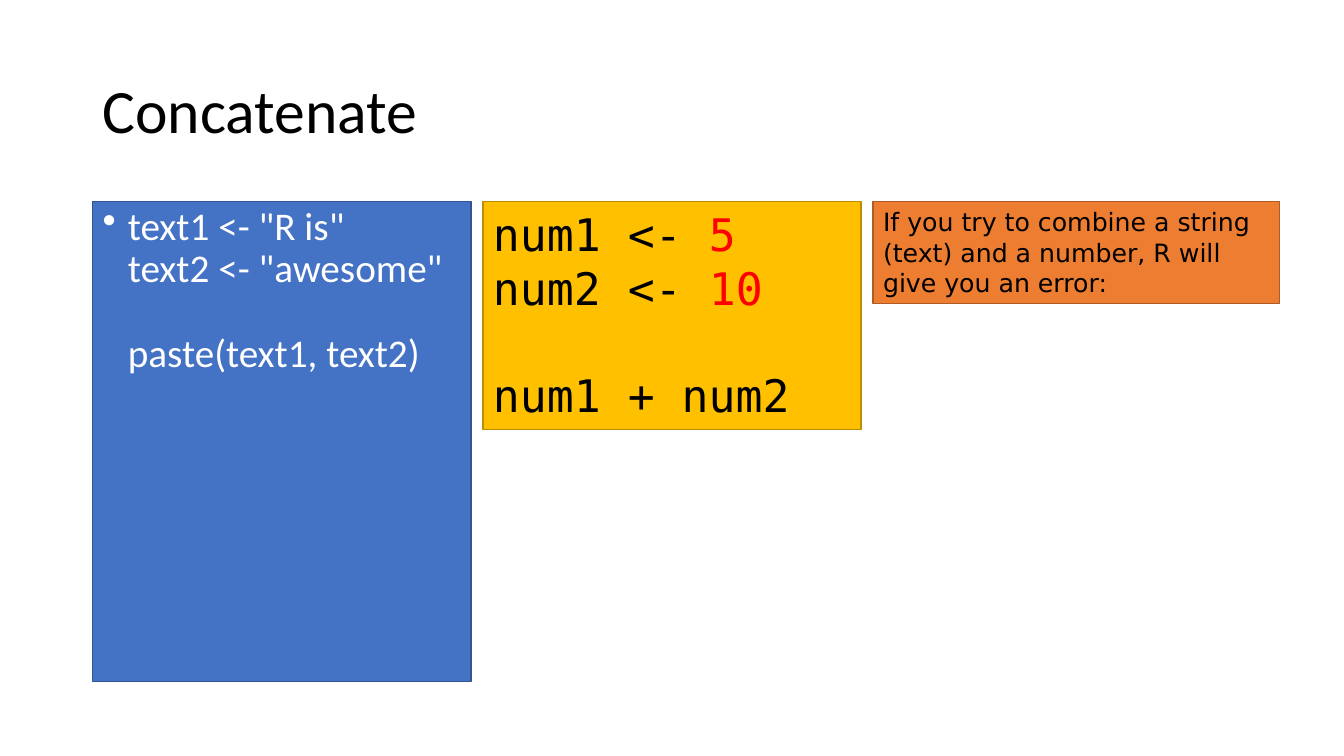
from lxml import etree
from pptx import Presentation
from pptx.dml.color import RGBColor
from pptx.enum.shapes import MSO_SHAPE
from pptx.enum.text import MSO_ANCHOR, MSO_AUTO_SIZE, PP_ALIGN
from pptx.oxml.ns import qn
from pptx.util import Inches, Pt

BLACK, WHITE, RED = "000000", "FFFFFF", "FF0000"
TITLE = "Concatenate"

# Each panel holds lines, and each line holds (text, colour) pieces.
PANELS = [
    dict(width=3.75, height=4.76, fill="4472C4", border="325491",
         font="Calibri", size=28, bullet=True,
         lines=[[("text1 <-\u00a0\"R is\"", WHITE)],
                [("text2 <-\u00a0\"awesome\"", WHITE)],
                [],
                [("paste(text1,\u00a0text2)", WHITE)]]),
    dict(width=3.75, height=2.26, fill="FFC000", border="BD8E00",
         font="DejaVu Sans Mono", size=32, bullet=False,
         lines=[[("num1 <-\u00a0", BLACK), ("5", RED)],
                [("num2 <-\u00a0", BLACK), ("10", RED)],
                [],
                [("num1 + num2", BLACK)]]),
    dict(width=4.03, height=1.01, fill="ED7D31", border="AF5C24",
         font="DejaVu Sans", size=18, bullet=False,
         lines=[[("If you try to combine a string (text) and a number, "
                  "R will give you an error:", BLACK)]]),
]
LEFT, PANEL_TOP, GAP = 0.92, 2, 0.12


def colour(hex_string):
    return RGBColor.from_string(hex_string)


def set_font(paragraph, name, size):
    paragraph.font.name = name
    paragraph.font.size = Pt(size)


def add_bullet(paragraph):
    """Hang a round bullet a quarter inch before the text."""
    paragraph.line_spacing = 0.9
    paragraph.space_before = Pt(10)
    properties = paragraph._p.get_or_add_pPr()
    properties.set("marL", str(Inches(0.25)))
    properties.set("indent", str(-Inches(0.25)))
    bullet = etree.Element(qn("a:buChar"), char="•")
    properties.insert_element_before(bullet, "a:tabLst", "a:defRPr", "a:extLst")


def add_title(slide):
    frame = slide.shapes.add_textbox(
        Inches(LEFT), Inches(0.4), Inches(11.5), Inches(1.45)).text_frame
    frame.word_wrap = True
    frame.auto_size = MSO_AUTO_SIZE.NONE
    frame.vertical_anchor = MSO_ANCHOR.MIDDLE
    heading = frame.paragraphs[0]
    heading.text = TITLE
    heading.line_spacing = 0.9
    set_font(heading, "Calibri", 44)
    heading.font.color.rgb = colour(BLACK)


def add_panel(slide, panel, left):
    box = slide.shapes.add_shape(
        MSO_SHAPE.RECTANGLE, Inches(left), Inches(PANEL_TOP),
        Inches(panel["width"]), Inches(panel["height"]))
    box.shadow.inherit = False
    box.fill.solid()
    box.fill.fore_color.rgb = colour(panel["fill"])
    box.line.color.rgb = colour(panel["border"])
    box.line.width = Pt(1)

    frame = box.text_frame
    frame.word_wrap = True
    frame.vertical_anchor = MSO_ANCHOR.TOP
    frame.auto_size = (MSO_AUTO_SIZE.NONE if panel["bullet"]
                       else MSO_AUTO_SIZE.SHAPE_TO_FIT_TEXT)
    paragraph = frame.paragraphs[0]
    paragraph.alignment = PP_ALIGN.LEFT
    set_font(paragraph, panel["font"], panel["size"])
    if panel["bullet"]:
        add_bullet(paragraph)
    for number, line in enumerate(panel["lines"]):
        if number:
            paragraph.add_line_break()
        for text, text_colour in line:
            run = paragraph.add_run()
            run.text = text
            run.font.color.rgb = colour(text_colour)


def main():
    deck = Presentation()
    deck.slide_width, deck.slide_height = Inches(13.33), Inches(7.5)
    slide = deck.slides.add_slide(deck.slide_layouts[6])
    add_title(slide)
    left = LEFT
    for panel in PANELS:
        add_panel(slide, panel, left)
        left += panel["width"] + GAP
    deck.save("out.pptx")


if __name__ == "__main__":
    main()
